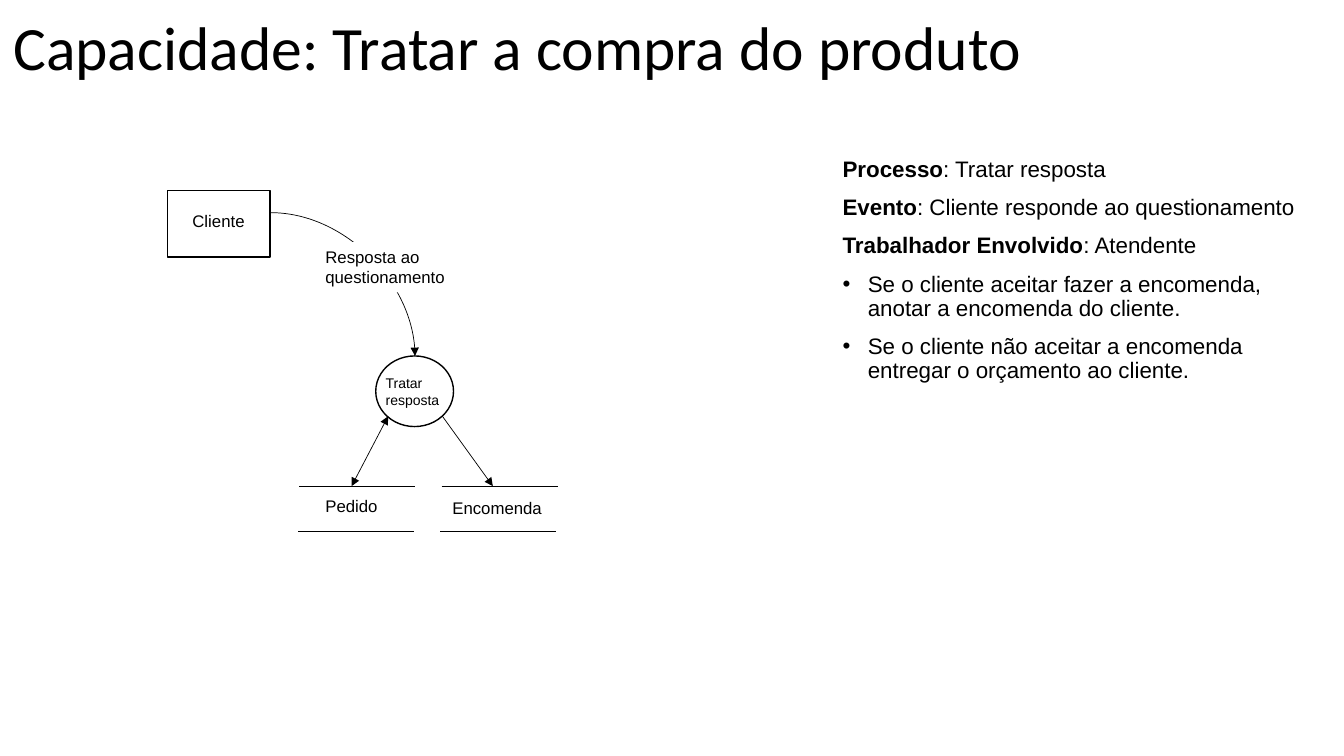
from dataclasses import dataclass
from lxml import etree
from pptx import Presentation
from pptx.dml.color import RGBColor
from pptx.enum.shapes import MSO_CONNECTOR, MSO_SHAPE
from pptx.enum.text import MSO_ANCHOR, MSO_AUTO_SIZE, PP_ALIGN
from pptx.oxml.ns import qn
from pptx.util import Cm, Pt

LINE, CURVE = MSO_CONNECTOR.STRAIGHT, MSO_CONNECTOR.CURVE
RECT, OVAL = MSO_SHAPE.RECTANGLE, MSO_SHAPE.OVAL
TOP, MIDDLE = MSO_ANCHOR.TOP, MSO_ANCHOR.MIDDLE
LEFT, NO_FIT = PP_ALIGN.LEFT, MSO_AUTO_SIZE.NONE


@dataclass
class Theme:
    ink = RGBColor(0, 0, 0)
    paper = RGBColor(255, 255, 255)
    head_font, font = "Calibri", "Arial"
    head, body, label, small = Pt(44), Pt(16), Pt(12), Pt(10)
    edge, thin = Pt(1), Pt(0.5)


theme = Theme()

prs = Presentation()
prs.slide_width, prs.slide_height = Cm(33.87), Cm(19.05)
slide = prs.slides.add_slide(prs.slide_layouts[1])
shapes = slide.shapes


def write(para, text, size, font=theme.font, bold=False):
    run = para.add_run()
    run.text = text
    run.font.name, run.font.size, run.font.bold = font, size, bold
    run.font.color.rgb = theme.ink


def link(x1, y1, x2, y2, ends=(), kind=LINE):
    line = shapes.add_connector(kind, Cm(x1), Cm(y1), Cm(x2), Cm(y2))
    line.line.color.rgb, line.line.width = theme.ink, theme.thin
    for end in ends:
        etree.SubElement(line.line._get_or_add_ln(), qn(f"a:{end}"), type="triangle")
    etree.SubElement(line._element.spPr, qn("a:effectLst"))
    return line


# Title and body placeholders
title, body = shapes.title, slide.placeholders[1]
for box, place, anchor in (
    (title, (0.08, 0.18, 29.21, 2.18), MIDDLE),
    (body, (20.98, 3.86, 12.04, 12.09), TOP),
):
    box.left, box.top, box.width, box.height = map(Cm, place)
    frame = box.text_frame
    frame.word_wrap, frame.auto_size, frame.vertical_anchor = True, NO_FIT, anchor

para = title.text_frame.paragraphs[0]
para.alignment, para.line_spacing = LEFT, 0.9
write(para, "Capacidade: Tratar a compra do produto", theme.head, theme.head_font)

# Process facts, then the bulleted rules
facts = (
    ("Processo", ": Tratar resposta"),
    ("Evento", ": Cliente responde ao questionamento"),
    ("Trabalhador Envolvido", ": Atendente"),
    ("", "Se o cliente aceitar fazer a encomenda, anotar a encomenda do cliente."),
    ("", "Se o cliente não aceitar a encomenda entregar o orçamento ao cliente."),
)
frame = body.text_frame
for i, (term, text) in enumerate(facts):
    para = frame.add_paragraph() if i else frame.paragraphs[0]
    para.line_spacing, para.space_before = 0.9, Pt(10)
    props = para._p.get_or_add_pPr()
    indent = 0 if term else Cm(0.635)
    props.set("marL", str(indent))
    props.set("indent", str(-indent))
    if term:
        etree.SubElement(props, qn("a:buNone"))
        write(para, term, theme.body, bold=True)
    else:
        etree.SubElement(props, qn("a:buFont"), typeface=theme.font)
        etree.SubElement(props, qn("a:buChar"), char="•")
    write(para, text, theme.body)

# Client box and process circle
for kind, place in (
    (RECT, (4.22, 4.8, 2.59, 1.68)),
    (OVAL, (9.47, 8.97, 1.96, 1.78)),
):
    node = shapes.add_shape(kind, *map(Cm, place))
    node.shadow.inherit = False
    node.fill.background()
    node.line.color.rgb, node.line.width = theme.ink, theme.edge

# Data stores: a pair of rules each
for x in (7.54, 11.13):
    for left, y in ((x, 12.25), (x - 0.03, 13.39)):
        link(left, y, left + 2.92, y)

# Flows
flow = link(6.83, 5.36, 10.46, 8.97, ("tailEnd",), CURVE)
flow._element.spPr.find(qn("a:prstGeom")).set("prst", "curvedConnector2")
link(11.15, 10.49, 12.42, 12.25, ("tailEnd",))
link(9.78, 10.49, 8.86, 12.25, ("headEnd", "tailEnd"))

# Labels
for text, place, size, filled in (
    ("Cliente", (4.6, 5.18, 1.91, 0.76), theme.label, True),
    ("Resposta ao questionamento", (7.95, 6.1, 3.71, 1.27), theme.label, True),
    ("Tratar resposta", (9.47, 9.32, 1.91, 1.12), theme.small, False),
    ("Pedido", (7.95, 12.37, 2.34, 0.76), theme.label, True),
    ("Encomenda", (11.15, 12.42, 3.07, 0.76), theme.label, True),
):
    label = shapes.add_textbox(*map(Cm, place))
    if filled:
        label.fill.solid()
        label.fill.fore_color.rgb = theme.paper
    label.text_frame.word_wrap = True
    write(label.text_frame.paragraphs[0], text, size)

prs.save("out.pptx")
